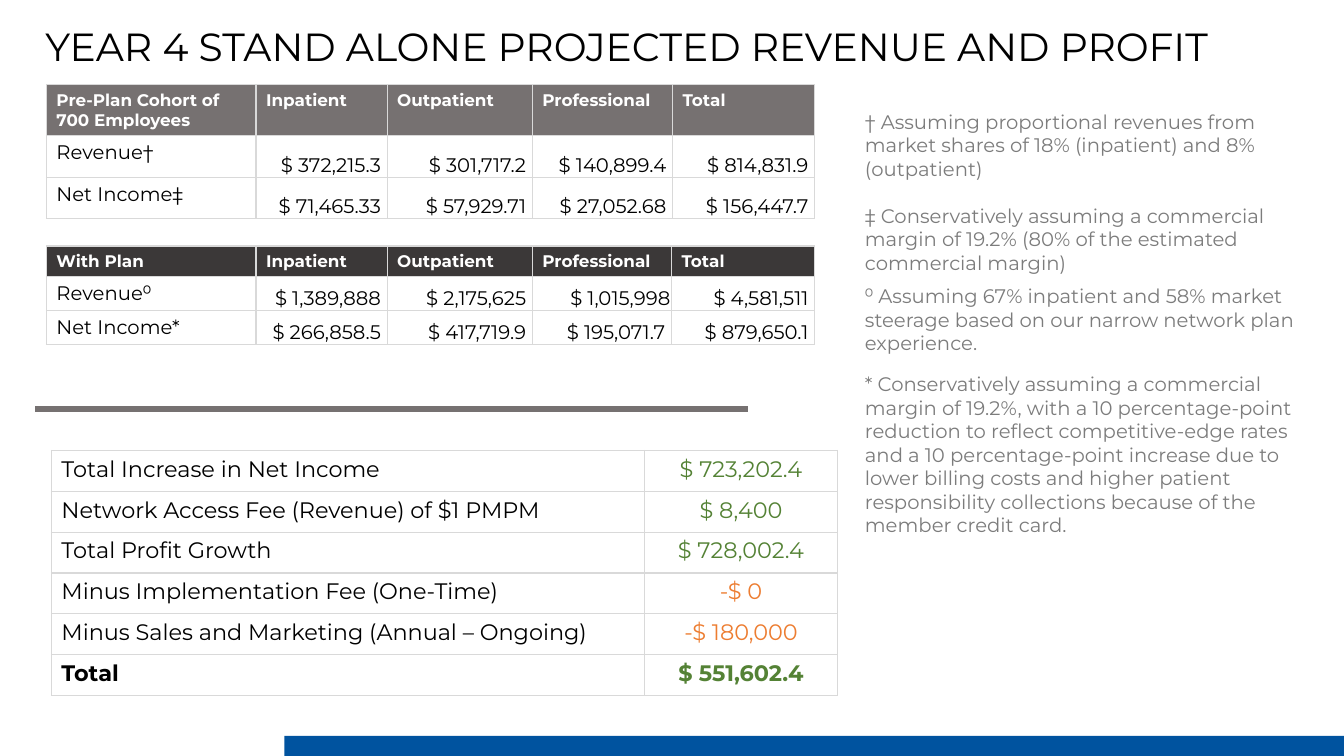
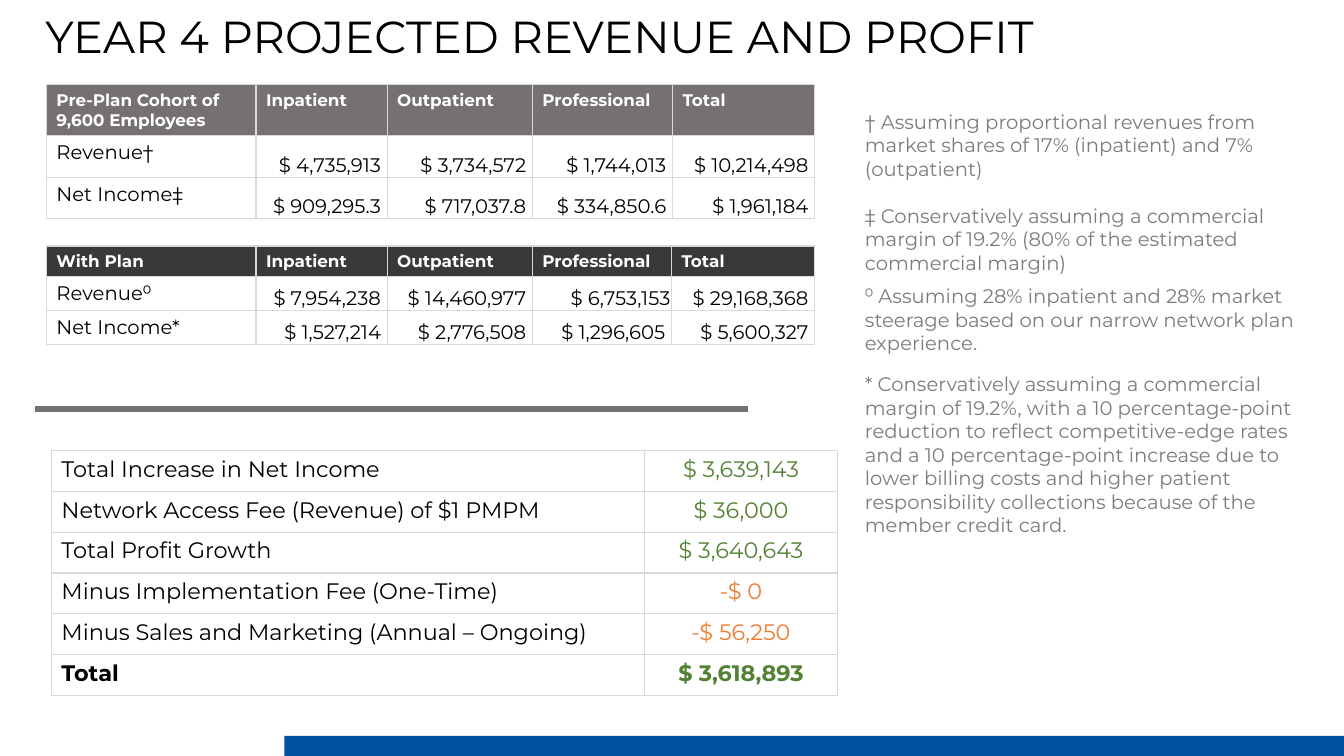
from dataclasses import dataclass

from lxml import etree
from pptx import Presentation
from pptx.dml.color import RGBColor
from pptx.enum import shapes, text
from pptx.oxml import ns
from pptx.util import Inches, Pt

FONT = "Montserrat"
BLACK, WHITE, GRID = "000000", "FFFFFF", "D9D9D9"
GREY, CHARCOAL, NOTE = "767171", "3B3838", "7C7C7C"
GREEN, ORANGE, BLUE = "548235", "ED7D31", "00539F"
TITLE_ONLY = 5

SERVICES = ["Inpatient", "Outpatient", "Professional", "Total"]
SUMMARY_LABELS = [
    "Total Increase in Net Income",
    "Network Access Fee (Revenue) of $1 PMPM",
    "Total Profit Growth",
    "Minus Implementation Fee (One-Time)",
    "Minus Sales and Marketing (Annual – Ongoing)",
    "Total",
]
MARGIN_NOTE = ("‡ Conservatively assuming a commercial margin of 19.2% "
               "(80% of the estimated commercial margin)")
RATE_NOTE = (
    "* Conservatively assuming a commercial margin of 19.2%, with a 10 percentage-point "
    "reduction to reflect competitive-edge rates and a 10 percentage-point increase due to "
    "lower billing costs and higher patient responsibility collections because of the "
    "member credit card.")


@dataclass
class Projection:
    title: str
    title_size: int
    title_box: tuple[float, float, float, float]
    employees: str
    before: list[list[str]]
    after: list[list[str]]
    summary: list[str]
    shares: tuple[str, str]
    steerage: tuple[str, str]


@dataclass
class RevenueTable:
    top: float
    fill: str
    cols: list[float]
    rows: list[float]
    heading: str
    labels: list[str]
    values: list[list[str]]
    tight: tuple[int, int] | None = None  # cell whose figure touches its right border


PROJECTIONS = [
    Projection(
        "YEAR 4 STAND ALONE PROJECTED REVENUE AND PROFIT", 28, (0.35, 0.17, 12.63, 0.57), "700",
        [["$ 372,215.3", "$ 301,717.2", "$ 140,899.4", "$ 814,831.9"],
         ["$ 71,465.33", "$ 57,929.71", "$ 27,052.68", "$ 156,447.7"]],
        [["$ 1,389,888", "$ 2,175,625", "$ 1,015,998", "$ 4,581,511"],
         ["$ 266,858.5", "$ 417,719.9", "$ 195,071.7", "$ 879,650.1"]],
        ["$ 723,202.4", "$ 8,400", "$ 728,002.4", "-$ 0", "-$ 180,000", "$ 551,602.4"],
        ("18%", "8%"), ("67%", "58%")),
    Projection(
        "YEAR 4 PROJECTED REVENUE AND PROFIT", 32, (0.35, 0.04, 11.25, 0.64), "9,600",
        [["$ 4,735,913", "$ 3,734,572", "$ 1,744,013", "$ 10,214,498"],
         ["$ 909,295.3", "$ 717,037.8", "$ 334,850.6", "$ 1,961,184"]],
        [["$ 7,954,238", "$ 14,460,977", "$ 6,753,153", "$ 29,168,368"],
         ["$ 1,527,214", "$ 2,776,508", "$ 1,296,605", "$ 5,600,327"]],
        ["$ 3,639,143", "$ 36,000", "$ 3,640,643", "-$ 0", "-$ 56,250", "$ 3,618,893"],
        ("17%", "7%"), ("28%", "28%")),
]


def rgb(color: str) -> RGBColor:
    return RGBColor.from_string(color)


def write(tf, content: str, *, size: float, color: str = BLACK, bold: bool = False,
          align=text.PP_ALIGN.LEFT) -> None:
    p = tf.paragraphs[0]
    p.alignment = align
    r = p.add_run()
    r.text = content
    r.font.name, r.font.size, r.font.bold = FONT, Pt(size), bold
    r.font.color.rgb = rgb(color)


def style_cell(cell, fill: str | None = None) -> None:
    """Give a cell thin grid borders, and a fill if one is named."""
    tc_pr = cell._tc.get_or_add_tcPr()
    for side in ("lnL", "lnR", "lnT", "lnB"):
        ln = etree.SubElement(tc_pr, ns.qn(f"a:{side}"), w=str(Pt(1)))
        solid = etree.SubElement(ln, ns.qn("a:solidFill"))
        etree.SubElement(solid, ns.qn("a:srgbClr"), val=GRID)
    if fill:
        cell.fill.solid()
        cell.fill.fore_color.rgb = rgb(fill)
    else:
        cell.fill.background()


def add_grid(s, left: float, top: float, cols: list[float], rows: list[float]):
    frame = s.shapes.add_table(len(rows), len(cols), Inches(left), Inches(top),
                               Inches(sum(cols)), Inches(sum(rows)))
    table = frame.table
    table.first_row = table.horz_banding = False
    for col, width in zip(table.columns, cols):
        col.width = Inches(width)
    for row, height in zip(table.rows, rows):
        row.height = Inches(height)
    return table


def add_revenue_table(s, data: RevenueTable) -> None:
    table = add_grid(s, 0.46, data.top, data.cols, data.rows)
    for c, heading in enumerate([data.heading, *SERVICES]):
        cell = table.cell(0, c)
        style_cell(cell, data.fill)
        write(cell.text_frame, heading, size=12, color=WHITE, bold=True)
    for r, (label, figures) in enumerate(zip(data.labels, data.values), 1):
        cell = table.cell(r, 0)
        style_cell(cell)
        write(cell.text_frame, label, size=14)
        for c, figure in enumerate(figures, 1):
            cell = table.cell(r, c)
            cell.margin_left = cell.margin_top = Inches(0.01)
            cell.margin_right = Inches(0.01 if (r, c) == data.tight else 0.06)
            cell.margin_bottom = 0
            cell.vertical_anchor = text.MSO_ANCHOR.BOTTOM
            style_cell(cell)
            write(cell.text_frame, figure, size=14, align=text.PP_ALIGN.RIGHT)


def add_summary(s, amounts: list[str]) -> None:
    table = add_grid(s, 0.51, 4.47, [5.88, 1.92], [0.405] * len(amounts))
    for r, (label, amount) in enumerate(zip(SUMMARY_LABELS, amounts)):
        bold = label == "Total"
        name, value = table.cell(r, 0), table.cell(r, 1)
        style_cell(name)
        style_cell(value)
        write(name.text_frame, label, size=16, bold=bold)
        write(value.text_frame, amount, size=16, bold=bold, align=text.PP_ALIGN.CENTER,
              color=ORANGE if amount.startswith("-") else GREEN)


def add_note(s, top: float, height: float, content: str) -> None:
    tf = s.shapes.add_textbox(Inches(8.48), Inches(top), Inches(4.72), Inches(height)).text_frame
    tf.word_wrap = True
    write(tf, content, size=14, color=NOTE)


def add_title(s, data: Projection) -> None:
    sp = s.shapes.title
    sp.left, sp.top, sp.width, sp.height = map(Inches, data.title_box)
    tf = sp.text_frame
    tf.auto_size = text.MSO_AUTO_SIZE.NONE
    tf.vertical_anchor = text.MSO_ANCHOR.TOP
    write(tf, data.title, size=data.title_size)


def add_divider(s) -> None:
    line = s.shapes.add_connector(shapes.MSO_CONNECTOR.STRAIGHT, Inches(0.35), Inches(4.06),
                                  Inches(7.42), Inches(4.06))
    line.line.color.rgb = rgb(GREY)
    line.line.width = Pt(4.5)
    etree.SubElement(line._element.spPr, ns.qn("a:effectLst"))


def add_footer_band(s) -> None:
    sp = s.shapes.add_shape(shapes.MSO_SHAPE.RECTANGLE, Inches(2.82), Inches(7.3),
                            Inches(10.53), Inches(0.21))
    sp.shadow.inherit = False
    sp.fill.solid()
    sp.fill.fore_color.rgb = rgb(BLUE)
    sp.line.fill.background()


def add_projection(prs, data: Projection) -> None:
    s = prs.slides.add_slide(prs.slide_layouts[TITLE_ONLY])
    add_title(s, data)
    add_revenue_table(s, RevenueTable(
        0.84, GREY, [2.08, 1.3, 1.44, 1.39, 1.41], [0.5, 0.41, 0.41],
        f"Pre-Plan Cohort of {data.employees} Employees",
        ["Revenue†", "Net Income‡"], data.before))
    add_revenue_table(s, RevenueTable(
        2.44, CHARCOAL, [2.08, 1.3, 1.44, 1.38, 1.42], [0.3, 0.33, 0.33],
        "With Plan", ["Revenue⁰", "Net Income*"], data.after, tight=(1, 3)))
    add_divider(s)
    add_summary(s, data.summary)
    inpatient, outpatient = data.shares
    add_note(s, 1.04, 0.81, "† Assuming proportional revenues from market shares of "
                            f"{inpatient} (inpatient) and {outpatient} (outpatient)")
    add_note(s, 1.97, 0.81, MARGIN_NOTE)
    inpatient, outpatient = data.steerage
    add_note(s, 2.77, 0.81, f"⁰ Assuming {inpatient} inpatient and {outpatient} market "
                            "steerage based on our narrow network plan experience.")
    add_note(s, 3.64, 1.75, RATE_NOTE)
    add_footer_band(s)


def main() -> None:
    prs = Presentation()
    prs.slide_width, prs.slide_height = Inches(13.33), Inches(7.5)
    for data in PROJECTIONS:
        add_projection(prs, data)
    prs.save("out.pptx")


if __name__ == "__main__":
    main()
